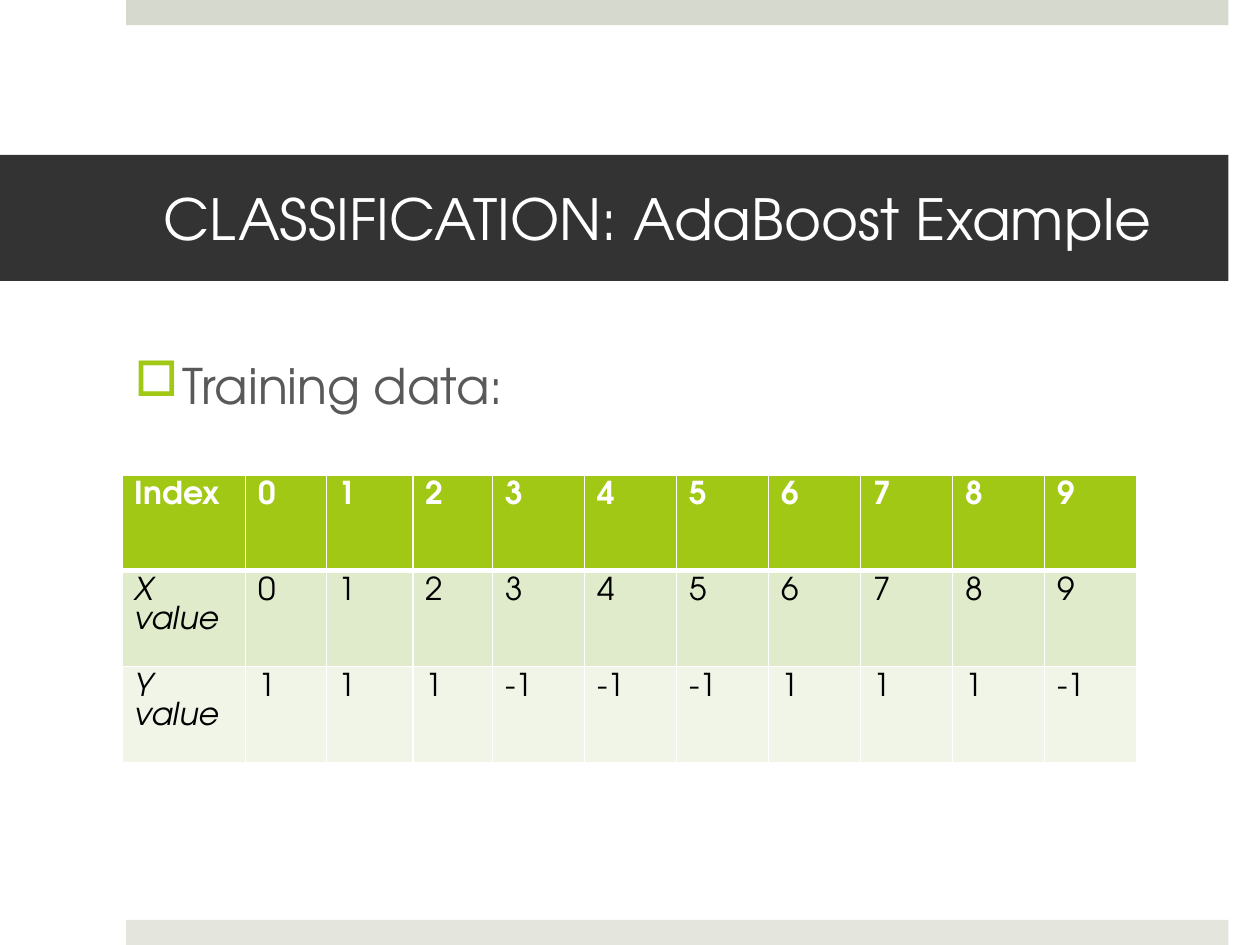
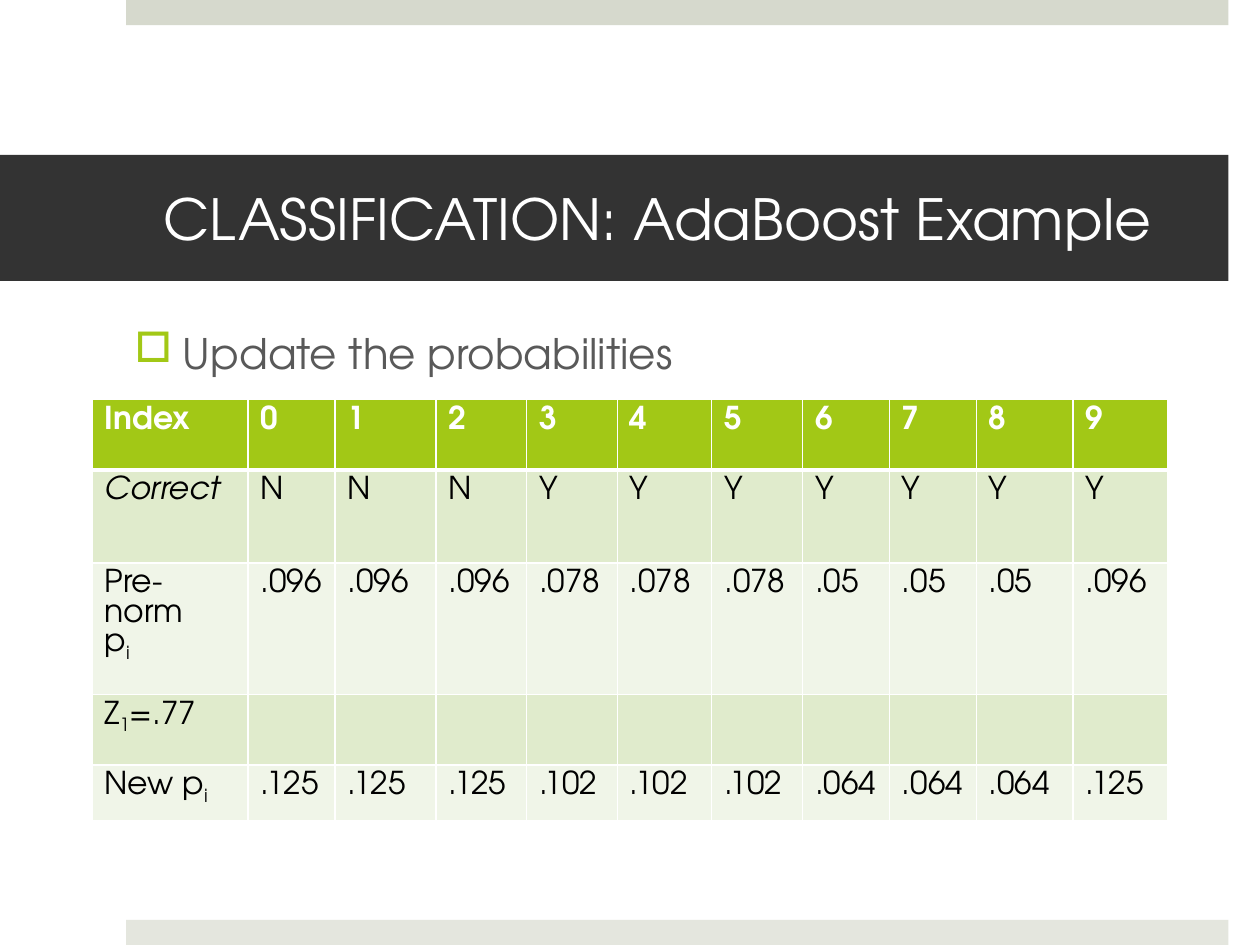
import pptx
import pptx.util
import pptx.dml.color
import pptx.enum.shapes
import pptx.enum.text
import pptx.oxml.ns
import lxml.etree

Inches = pptx.util.Inches
FONT = "TeX Gyre Adventor"
WHITE, BLACK, GREEN = "FFFFFF", "000000", "A2C816"
TOP_BAND, BOTTOM_BAND, TITLE_BAND = "D6D9CD", "E4E6DE", "333333"
BODY_TEXT = "595959"
ROW_FILLS = ["E0EBCC", "F0F5E8"]
TITLE = "CLASSIFICATION: AdaBoost Example"
INDEX_ROW = ["Index"] + [str(index) for index in range(10)]


def color(hex_string):
    return pptx.dml.color.RGBColor.from_string(hex_string)


def add_element(parent, tag, **attributes):
    return lxml.etree.SubElement(parent, pptx.oxml.ns.qn(tag), attributes)


def write_text(frame, text, size=18, hex_color=BLACK, bold=False, italic=False):
    """Line breaks start paragraphs; the character after "_" is a subscript."""
    for number, line in enumerate(text.split("\n")):
        paragraph = frame.paragraphs[0] if number == 0 else frame.add_paragraph()
        paragraph.alignment = pptx.enum.text.PP_ALIGN.LEFT
        first, *rest = line.split("_")
        pieces = [(first, False)]
        for part in rest:
            pieces += [(part[0], True), (part[1:], False)]
        for content, subscript in pieces:
            if not content:
                continue
            run = paragraph.add_run()
            run.text = content
            run.font.name = FONT
            run.font.size = pptx.util.Pt(size)
            run.font.color.rgb = color(hex_color)
            run.font.bold = bold
            run.font.italic = italic
            if subscript:
                run.font._element.set("baseline", "-25000")


def add_band(slide, left, top, width, height, fill):
    shape = slide.shapes.add_shape(
        pptx.enum.shapes.MSO_SHAPE.RECTANGLE,
        Inches(left), Inches(top), Inches(width), Inches(height))
    shape.shadow.inherit = False
    shape.fill.solid()
    shape.fill.fore_color.rgb = color(fill)
    shape.line.fill.background()
    return shape


def add_slide_frame(presentation, title):
    slide = presentation.slides.add_slide(presentation.slide_layouts[6])
    # Edge bands
    add_band(slide, 1, 0, 8.75, 0.2, TOP_BAND)
    add_band(slide, 1, 7.3, 8.75, 0.2, BOTTOM_BAND)
    # Title band
    frame = add_band(slide, 0, 1.23, 9.75, 1, TITLE_BAND).text_frame
    frame.word_wrap = True
    frame.vertical_anchor = pptx.enum.text.MSO_ANCHOR.MIDDLE
    frame.margin_left, frame.margin_right = Inches(1.3), Inches(0.3)
    write_text(frame, title, size=32.4, hex_color=WHITE)
    return slide


def add_bullet(slide, left, top, width, height, text, size):
    box = slide.shapes.add_textbox(
        Inches(left), Inches(top), Inches(width), Inches(height))
    frame = box.text_frame
    frame.word_wrap = True
    write_text(frame, text, size=size, hex_color=BODY_TEXT)
    paragraph = frame.paragraphs[0]
    paragraph.space_before = pptx.util.Pt(20)
    properties = paragraph._p.get_or_add_pPr()
    properties.set("marL", str(Inches(0.38)))
    properties.set("indent", str(-Inches(0.38)))
    bullet_color = add_element(properties, "a:buClr")
    add_element(bullet_color, "a:srgbClr", val=GREEN)
    add_element(properties, "a:buChar", char="\u25a1")


def set_borders(cell, top, bottom):
    properties = cell._tc.get_or_add_tcPr()
    for side, points in (("L", 1), ("R", 1), ("T", top), ("B", bottom)):
        line = add_element(properties, "a:ln" + side, w=str(pptx.util.Pt(points)))
        fill = add_element(line, "a:solidFill")
        add_element(fill, "a:srgbClr", val=WHITE)


def add_data_table(slide, left, top, column_widths, row_heights, rows, italic_labels):
    table = slide.shapes.add_table(
        len(rows), len(column_widths), Inches(left), Inches(top),
        Inches(sum(column_widths)), Inches(sum(row_heights))).table
    table.horz_banding = False
    for column, width in zip(table.columns, column_widths):
        column.width = Inches(width)
    for row_number, values in enumerate(rows):
        table.rows[row_number].height = Inches(row_heights[row_number])
        header = row_number == 0
        for column_number, value in enumerate(values):
            cell = table.cell(row_number, column_number)
            # The thick rule separates the header from the data
            set_borders(cell, top=3 if row_number == 1 else 1,
                        bottom=3 if header else 1)
            cell.fill.solid()
            cell.fill.fore_color.rgb = color(
                GREEN if header else ROW_FILLS[(row_number - 1) % 2])
            write_text(cell.text_frame, value,
                       hex_color=WHITE if header else BLACK, bold=header,
                       italic=column_number == 0 and value in italic_labels)


def add_training_slide(presentation):
    slide = add_slide_frame(presentation, TITLE)
    add_bullet(slide, 0.97, 2.77, 8.32, 4.13, "Training data:", 28)
    rows = [
        INDEX_ROW,
        ["X value"] + INDEX_ROW[1:],
        ["Y value"] + ["1"] * 3 + ["-1"] * 3 + ["1"] * 3 + ["-1"],
    ]
    add_data_table(slide, 0.97, 3.77, [0.98, 0.64, 0.69, 0.63] + [0.73] * 7,
                   [0.76] * 3, rows, ["X value", "Y value"])


def add_update_slide(presentation):
    slide = add_slide_frame(presentation, TITLE)
    add_bullet(slide, 0.97, 2.55, 8.32, 4.13, "Update the probabilities", 24)
    rows = [
        INDEX_ROW,
        ["Correct"] + ["N"] * 3 + ["Y"] * 7,
        ["Pre-norm\np_i"] + [".096"] * 3 + [".078"] * 3 + [".05"] * 3 + [".096"],
        ["Z_1=.77"] + [""] * 10,
        ["New p_i"] + [".125"] * 3 + [".102"] * 3 + [".064"] * 3 + [".125"],
    ]
    widths = [1.24, 0.69, 0.8, 0.72, 0.72, 0.75, 0.72, 0.69, 0.69, 0.77, 0.75]
    add_data_table(slide, 0.73, 3.17, widths, [0.56, 0.74, 0.84, 0.56, 0.4],
                   rows, ["Correct"])


presentation = pptx.Presentation()
presentation.slide_width = Inches(10)
presentation.slide_height = Inches(7.5)
add_training_slide(presentation)
add_update_slide(presentation)
presentation.save("out.pptx")
